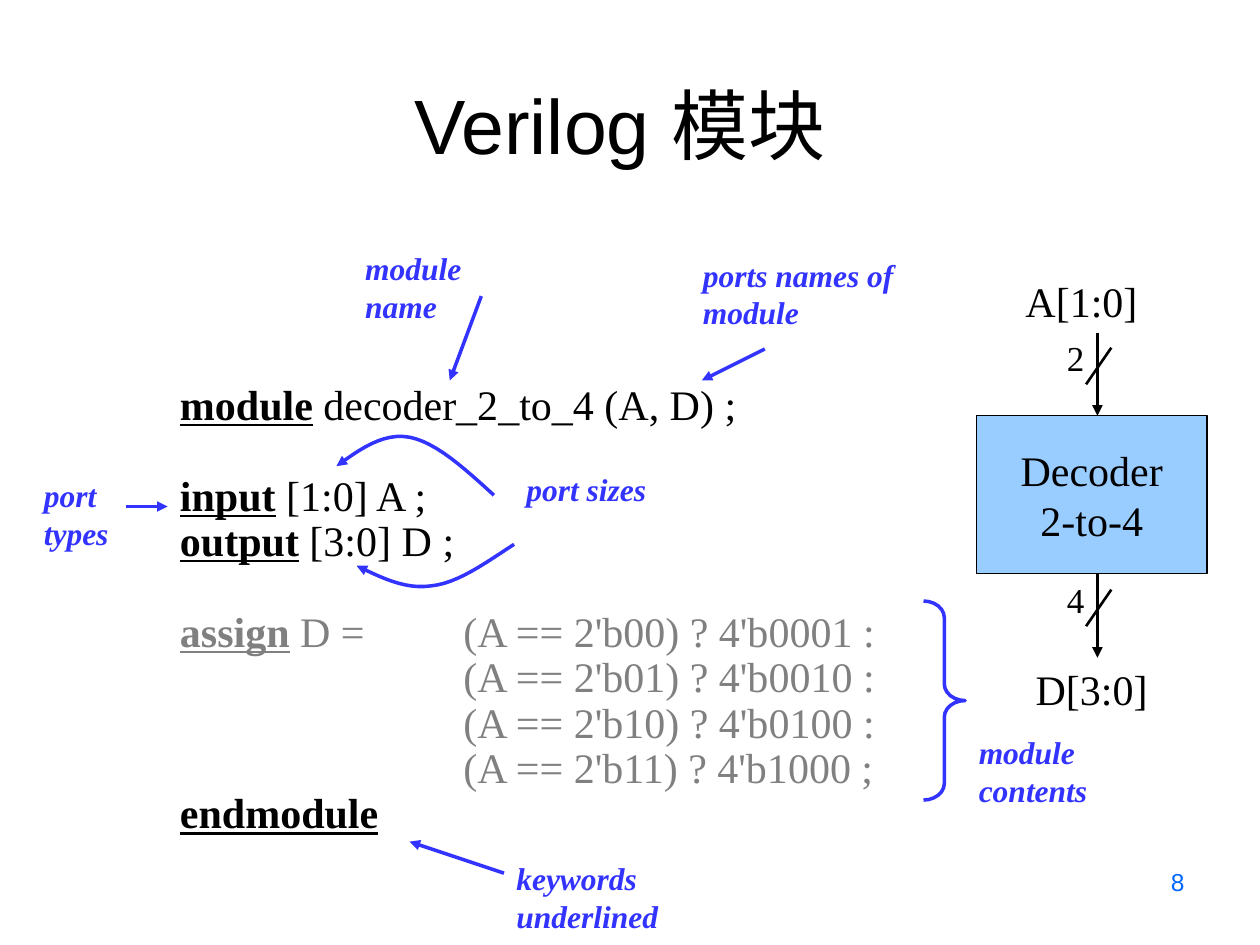
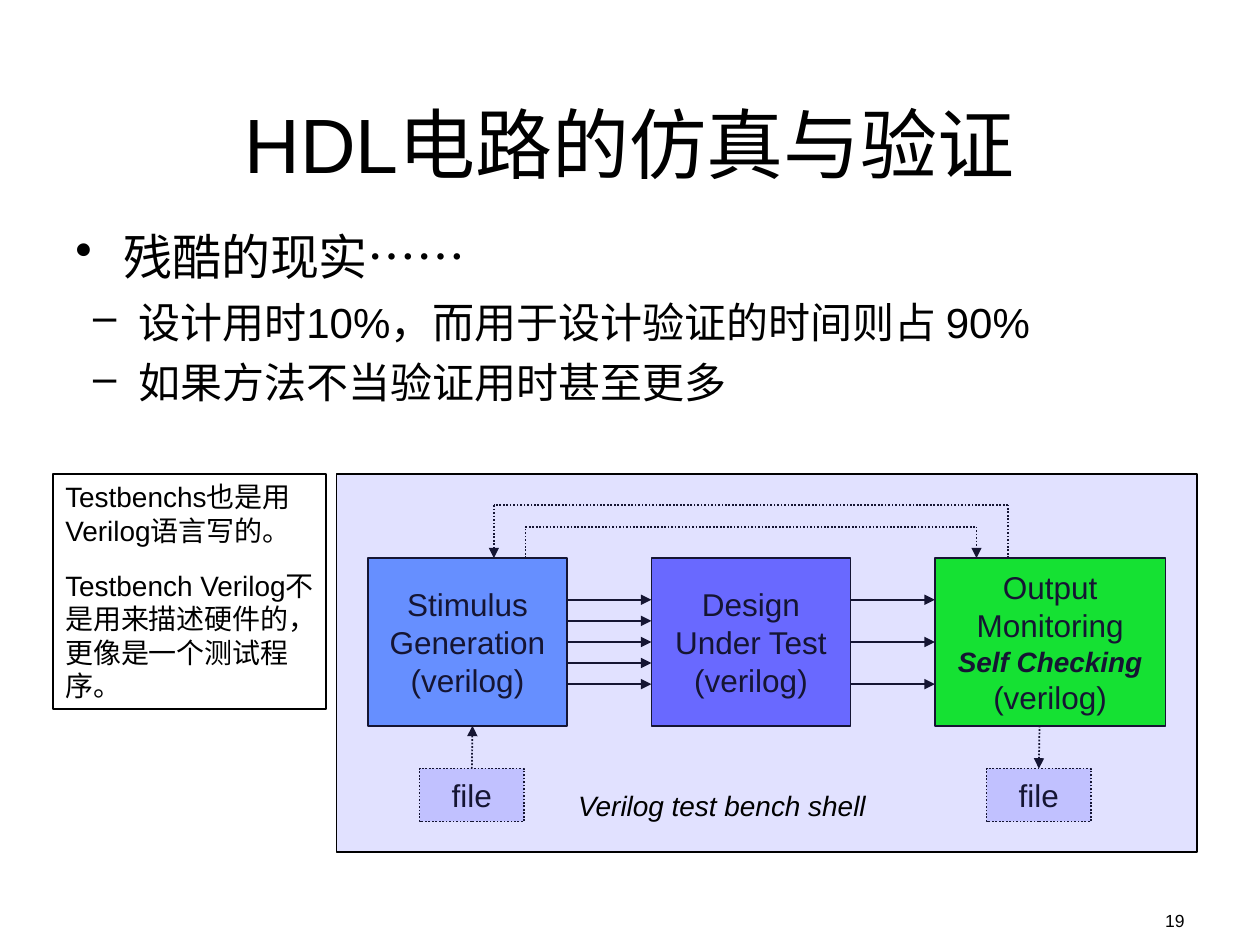
import itertools

import lxml.etree
import pptx
import pptx.dml.color
import pptx.enum.dml
import pptx.enum.shapes
import pptx.enum.text
import pptx.oxml.ns
import pptx.util

Inches = pptx.util.Inches
Pt = pptx.util.Pt
RGB = pptx.dml.color.RGBColor.from_string
ALIGN = pptx.enum.text.PP_ALIGN
ANCHOR = pptx.enum.text.MSO_ANCHOR
SHAPE = pptx.enum.shapes.MSO_SHAPE
STRAIGHT = pptx.enum.shapes.MSO_CONNECTOR.STRAIGHT
DOTTED = pptx.enum.dml.MSO_LINE.ROUND_DOT
qn = pptx.oxml.ns.qn
add_tag = lxml.etree.SubElement

COLORS = {
    "ink": "000000",
    "muted": "808080",
    "note": "3333FF",
    "page": "0066FF",
    "decoder": "99CCFF",
    "stimulus": "6699FF",
    "design": "6969FF",
    "output": "00FF00",
}
SERIF, SANS = "Times New Roman", "Arial"
TITLE = dict(size=44, align=ALIGN.CENTER, anchor=ANCHOR.BOTTOM)
BOX = dict(align=ALIGN.CENTER, anchor=ANCHOR.MIDDLE, wrap=False)
NOTE = dict(size=18, font=SERIF, color="note", bold=True, italic=True)


def write(slide, text, place, size=18, font=SANS, color="ink", bold=False, italic=False,
          align=ALIGN.LEFT, anchor=ANCHOR.TOP, wrap=True, outline=None, fill=None, alpha=None, dash=None):
    bounds = [Inches(length) for length in place]
    if outline:
        box = slide.shapes.add_shape(SHAPE.RECTANGLE, *bounds)
        box.shadow.inherit = False
        box.line.color.rgb = RGB(COLORS["ink"])
        box.line.width = Pt(outline)
        if dash:
            box.line.dash_style = dash
        if fill:
            box.fill.solid()
            box.fill.fore_color.rgb = RGB(COLORS[fill])
        else:
            box.fill.background()
        if alpha:
            tint = box._element.spPr.find(".//" + qn("a:srgbClr"))
            add_tag(tint, qn("a:alpha"), val=str(alpha * 1000))
    else:
        box = slide.shapes.add_textbox(*bounds)
    frame = box.text_frame
    frame.word_wrap = wrap
    frame.vertical_anchor = anchor
    lines = text.split("\n") if isinstance(text, str) else text
    for number, line in enumerate(lines):
        paragraph = frame.paragraphs[0] if number == 0 else frame.add_paragraph()
        paragraph.alignment = align
        for words, change in [(line, {})] if isinstance(line, str) else line:
            run = paragraph.add_run()
            run.text = words
            run.font.name = font
            run.font.size = Pt(change.get("size", size))
            run.font.bold = change.get("bold", bold)
            run.font.italic = change.get("italic", italic)
            run.font.underline = change.get("underline", False)
            run.font.color.rgb = RGB(COLORS[change.get("color", color)])
    return box


def draw_line(slide, points, color="ink", weight=1, arrow=True, dash=None):
    places = [(Inches(x), Inches(y)) for x, y in points]
    if len(places) == 2:
        line = slide.shapes.add_connector(STRAIGHT, *places[0], *places[1])
    else:
        builder = slide.shapes.build_freeform(*places[0], scale=1.0)
        builder.add_line_segments(places[1:], close=False)
        line = builder.convert_to_shape()
        line.fill.background()
    line.line.color.rgb = RGB(COLORS[color])
    line.line.width = Pt(weight)
    if dash:
        line.line.dash_style = dash
    if arrow:
        add_tag(line._element.spPr.find(qn("a:ln")), qn("a:tailEnd"), type="triangle")
    add_tag(line._element.spPr, qn("a:effectLst"))
    return line


deck = pptx.Presentation()
deck.slide_width, deck.slide_height = Inches(10), Inches(7.5)
blank = deck.slide_layouts[6]

module_slide = deck.slides.add_slide(blank)
write(module_slide, "Verilog 模块", (0.42, 0.15, 9, 1.25), **TITLE)

keyword = dict(bold=True, underline=True)
muted = dict(color="muted")
code_lines = [
    [("module", keyword), (" decoder_2_to_4 (A, D) ;", {})],
    [("input", keyword), (" [1:0] A ;", {})],
    [("output", keyword), (" [3:0] D ;", {})],
    [("assign", keyword | muted), (" D =\t(A == 2'b00) ? 4'b0001 :", muted)],
    [("\t(A == 2'b01) ? 4'b0010 :", muted)],
    [("\t(A == 2'b10) ? 4'b0100 :", muted)],
    [("\t(A == 2'b11) ? 4'b1000 ;", muted)],
    [("endmodule", keyword)],
]
code = write(module_slide, code_lines, (1.33, 3, 8.25, 3.7), size=24, font=SERIF)
for number, paragraph in enumerate(code.text_frame.paragraphs):
    paragraph.line_spacing = 0.9
    if number in (1, 3):
        paragraph.space_before = Pt(26)
    tabs = add_tag(paragraph._p.get_or_add_pPr(), qn("a:tabLst"))
    add_tag(tabs, qn("a:tab"), pos=str(Inches(2.25)), algn="l")

write(module_slide, "Decoder\n2-to-4", (7.75, 3.3, 1.83, 1.25), size=24, font=SERIF,
      fill="decoder", outline=0.75, **BOX)
for signal, size, place in [
    ("A[1:0]", 24, (8.04, 2.14, 1.09, 0.5)),
    ("D[3:0]", 24, (8.12, 5.22, 1.09, 0.5)),
    ("2", 20, (8.37, 2.62, 0.34, 0.44)),
    ("4", 20, (8.37, 4.54, 0.34, 0.44)),
]:
    write(module_slide, signal, place, size=size, font=SERIF, wrap=False)
for bus_top, bus_bottom, slash_top in [(2.64, 3.3, 2.76), (4.55, 5.22, 4.68)]:
    draw_line(module_slide, [(8.71, bus_top), (8.71, bus_bottom)], weight=2)
    draw_line(module_slide, [(8.82, slash_top), (8.62, slash_top + 0.29)], weight=1.5, arrow=False)

for note, place, wrap in [
    ("module name", (2.8, 1.93, 1.59, 0.4), False),
    ("ports names of module", (5.48, 1.98, 2.1, 0.7), True),
    ("port types", (0.25, 3.73, 1.17, 0.7), True),
    ("port sizes", (4.08, 3.68, 1.17, 0.4), True),
    ("module contents", (7.67, 5.77, 1.5, 0.7), True),
    ("keywords underlined", (4, 6.77, 2.34, 0.4), False),
]:
    write(module_slide, note, place, wrap=wrap, **NOTE)
for pointer in [
    [(3.82, 2.35), (3.57, 3.02)],
    [(6.07, 2.77), (5.57, 3.02)],
    [(1, 4.02), (1.33, 4.02)],
    [(4, 6.93), (3.25, 6.68)],
]:
    draw_line(module_slide, pointer, "note", 2)

size_curves = [
    [(3.92, 3.93), (3.69, 3.72), (3.46, 3.51), (3.25, 3.47), (3.04, 3.43), (2.85, 3.57), (2.67, 3.7)],
    [(4.08, 4.32), (3.85, 4.47), (3.63, 4.63), (3.42, 4.65), (3.21, 4.68), (3.02, 4.58), (2.83, 4.49)],
]
for controls in size_curves:
    curve = [controls[0]]
    for first in (0, 3):
        for step in range(1, 13):
            t = step / 12
            weights = ((1 - t) ** 3, 3 * t * (1 - t) ** 2, 3 * t * t * (1 - t), t ** 3)
            bend = controls[first:first + 4]
            curve.append(tuple(sum(w * p[axis] for w, p in zip(weights, bend)) for axis in (0, 1)))
    draw_line(module_slide, curve, "note", 2)

contents_brace = module_slide.shapes.add_shape(
    SHAPE.RIGHT_BRACE, Inches(7.33), Inches(4.77), Inches(0.33), Inches(1.58))
contents_brace.adjustments[0] = 0.4
contents_brace.shadow.inherit = False
contents_brace.fill.background()
contents_brace.line.color.rgb = RGB(COLORS["note"])
contents_brace.line.width = Pt(2)
write(module_slide, "8", (7.17, 6.83, 2.33, 0.52), size=14, color="page", align=ALIGN.RIGHT)

bench_slide = deck.slides.add_slide(blank)
write(bench_slide, "19", (7.17, 7.17, 2.33, 0.25), size=10, align=ALIGN.RIGHT)
write(bench_slide, "HDL电路的仿真与验证", (0.5, 0.3, 9, 1.25), **TITLE)

reality = write(bench_slide, [
    [("残酷的现实……", dict(size=28))],
    "设计用时10%，而用于设计验证的时间则占 90%",
    "如果方法不当验证用时甚至更多",
], (0.5, 1.75, 9, 2.08), size=24)
bullets = [("•", 0.38, 0.38, 7), ("–", 0.5, 0.36, 6), ("–", 0.5, 0.36, 6)]
for paragraph, (mark, margin, hang, gap) in zip(reality.text_frame.paragraphs, bullets):
    paragraph.space_before = Pt(gap)
    properties = paragraph._p.get_or_add_pPr()
    properties.set("marL", str(Inches(margin)))
    properties.set("indent", str(-Inches(hang)))
    add_tag(properties, qn("a:buChar"), char=mark)

stage_top, stage_height = 4.43, 1.33
stages = [
    write(bench_slide, text, (left, stage_top, width, stage_height), fill=fill, outline=1, **BOX)
    for text, left, width, fill in [
        ("Stimulus\nGeneration\n(verilog)", 2.92, 1.58, "stimulus"),
        ("Design\nUnder Test\n(verilog)", 5.17, 1.58, "design"),
        (["Output", "Monitoring", [("Self Checking", dict(size=16, bold=True, italic=True))], "(verilog)"],
         7.42, 1.83, "output"),
    ]
]
for source, target, start, end, signal_count in [
    (stages[0], stages[1], 4.5, 5.17, 5),
    (stages[1], stages[2], 6.75, 7.42, 3),
]:
    for number in range(signal_count):
        y = 4.76 + number * 0.67 / (signal_count - 1)
        signal = draw_line(bench_slide, [(start, y), (end, y)])
        if number == signal_count // 2:
            signal.begin_connect(source, 3)
            signal.end_connect(target, 1)

for start, end, height in [(4.17, 7.75, 4.18), (8, 3.92, 4.01)]:
    feedback = [(start, stage_top), (start, height), (end, height), (end, stage_top)]
    for number, leg in enumerate(itertools.pairwise(feedback)):
        draw_line(bench_slide, leg, arrow=number == 2, dash=DOTTED)

for left, is_input in [(3.33, True), (7.83, False)]:
    file_box = write(bench_slide, "file", (left, 6.1, 0.83, 0.42), fill="design", alpha=26,
                     outline=1, dash=DOTTED, **BOX)
    ends = [(left + 0.42, 6.1), (left + 0.42, stage_top + stage_height)]
    transfer = draw_line(bench_slide, ends if is_input else ends[::-1], dash=DOTTED)
    if is_input:
        transfer.begin_connect(file_box, 0)
    else:
        transfer.end_connect(file_box, 0)

write(bench_slide, "", (2.67, 3.76, 6.83, 3), fill="design", alpha=20, outline=1)
write(bench_slide, "Verilog test bench shell", (4.49, 6.21, 2.49, 0.37), size=16, italic=True, wrap=False)
remark = write(bench_slide, "Testbenchs也是用Verilog语言写的。\nTestbench Verilog不是用来描述硬件的，更像是一个测试程序。",
               (0.42, 3.76, 2.17, 1.87), size=16, outline=1)
remark.text_frame.paragraphs[1].space_before = Pt(12)

deck.save("out.pptx")
